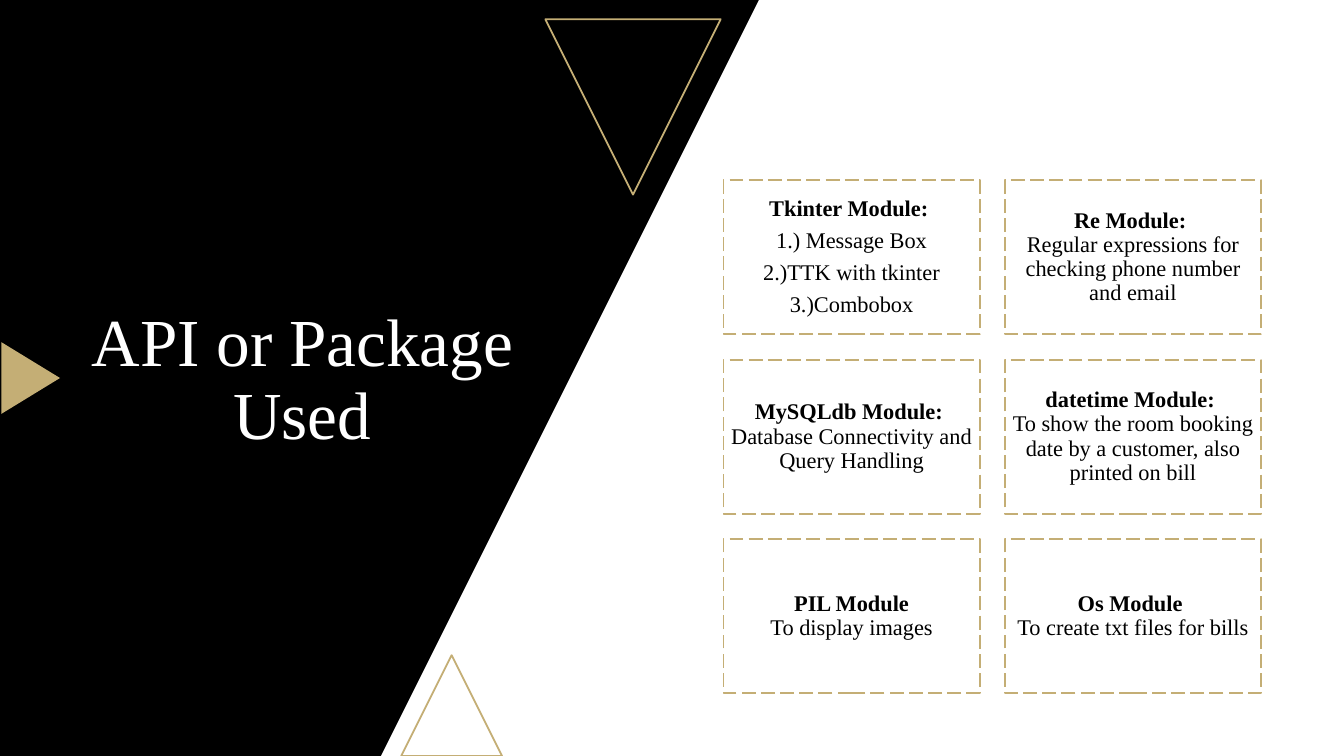
from dataclasses import dataclass

from pptx import Presentation
from pptx.dml.color import RGBColor
from pptx.enum.dml import MSO_LINE
from pptx.enum.shapes import MSO_SHAPE
from pptx.enum.text import MSO_ANCHOR, MSO_AUTO_SIZE, PP_ALIGN
from pptx.util import Pt

TITLE = "API or Package Used"

# Each card: heading, its lines, and whether every line is its own paragraph
CARDS = [
    ("Tkinter Module: ", ["1.) Message Box", "2.)TTK with tkinter", "3.)Combobox"], True),
    ("Re Module: ", ["Regular expressions for checking phone number and email"], False),
    ("MySQLdb Module: ", ["Database Connectivity and Query Handling"], False),
    ("datetime Module: ", ["To show the room booking date by a customer, also printed on bill"], False),
    ("PIL Module", ["To display images"], False),
    ("Os Module ", ["To create txt files for bills"], False),
]


@dataclass(frozen=True)
class Theme:
    black: RGBColor = RGBColor(0, 0, 0)
    white: RGBColor = RGBColor(255, 255, 255)
    gold: RGBColor = RGBColor(0xC4, 0xAE, 0x75)
    font: str = "Times New Roman"
    title_size: int = 48
    card_size: int = 16
    outline: float = 1.25


THEME = Theme()
PAGE_WIDTH, PAGE_HEIGHT = 960, 540
PANEL = [(0, 0), (542, 0), (271.5, PAGE_HEIGHT), (0, PAGE_HEIGHT)]
# left, top, width, height, rotation, filled
TRIANGLES = [
    (286.6, 468, 72, 72, 0, False),
    (389.5, 13.7, 125.3, 125.3, 180, False),
    (-3.6, 249.1, 51.1, 41.8, 90, True),
]
TITLE_BOX = (43.2, 154.1, 345.6, 236.2)
COLUMNS = 2
CARD_LEFT, CARD_TOP = 516.8, 128.8
CARD_WIDTH, CARD_HEIGHT = 183, 110
CARD_STEP_X, CARD_STEP_Y = 201, 128.2


def set_all(target, values):
    for name, value in values.items():
        setattr(target, name, value)


def paint(shape, fill=None, line=None):
    shape.shadow.inherit = False
    if fill is None:
        shape.fill.background()
    else:
        shape.fill.solid()
        shape.fill.fore_color.rgb = fill
    if line is None:
        shape.line.fill.background()
    else:
        shape.line.color.rgb = line
        shape.line.width = Pt(THEME.outline)


def add_shape(page, kind, bounds):
    return page.shapes.add_shape(kind, *map(Pt, bounds))


def add_span(para, text, size, color, bold=False):
    span = para.add_run()
    span.text = text
    set_all(span.font, {"name": THEME.font, "size": Pt(size), "bold": bold})
    span.font.color.rgb = color
    return span


def add_panel(page):
    builder = page.shapes.build_freeform(*PANEL[0], scale=Pt(1))
    builder.add_line_segments(PANEL[1:], close=True)
    paint(builder.convert_to_shape(), fill=THEME.black)


def add_triangles(page):
    for *bounds, rotation, filled in TRIANGLES:
        triangle = add_shape(page, MSO_SHAPE.ISOSCELES_TRIANGLE, bounds)
        triangle.rotation = rotation
        if filled:
            paint(triangle, fill=THEME.gold)
        else:
            paint(triangle, line=THEME.gold)


def add_card(page, index, heading, lines, separate):
    row, column = divmod(index, COLUMNS)
    left = CARD_LEFT + column * CARD_STEP_X
    top = CARD_TOP + row * CARD_STEP_Y
    box = add_shape(page, MSO_SHAPE.RECTANGLE, (left, top, CARD_WIDTH, CARD_HEIGHT))
    paint(box, line=THEME.gold)
    box.line.dash_style = MSO_LINE.LONG_DASH

    frame = box.text_frame
    set_all(frame, {"word_wrap": True, "vertical_anchor": MSO_ANCHOR.MIDDLE})
    for side in ("left", "top", "right", "bottom"):
        setattr(frame, f"margin_{side}", Pt(5))
    para = frame.paragraphs[0]
    add_span(para, heading, THEME.card_size, THEME.black, bold=True)
    for line in lines:
        if separate:
            para = frame.add_paragraph()
        else:
            para.add_line_break()
        add_span(para, line, THEME.card_size, THEME.black)
    for para in frame.paragraphs:
        set_all(para, {"alignment": PP_ALIGN.CENTER, "line_spacing": 0.9,
                       "space_before": Pt(0), "space_after": Pt(5.6)})


def add_title(page):
    title = page.shapes.title
    set_all(title, dict(zip(("left", "top", "width", "height"), map(Pt, TITLE_BOX))))
    frame = title.text_frame
    set_all(frame, {"word_wrap": True, "vertical_anchor": MSO_ANCHOR.MIDDLE,
                    "auto_size": MSO_AUTO_SIZE.NONE})
    para = frame.paragraphs[0]
    set_all(para, {"alignment": PP_ALIGN.CENTER, "line_spacing": 0.9, "space_before": Pt(0)})
    span = add_span(para, TITLE, THEME.title_size, THEME.white)
    span.font.element.set("spc", "-50") if hasattr(span.font, "element") else None
    page.shapes.element.append(title.element)  # in front of the panel


def main():
    deck = Presentation()
    deck.slide_width, deck.slide_height = Pt(PAGE_WIDTH), Pt(PAGE_HEIGHT)
    page = deck.slides.add_slide(deck.slide_layouts[5])
    add_panel(page)
    add_triangles(page)
    for index, card in enumerate(CARDS):
        add_card(page, index, *card)
    add_title(page)
    deck.save("out.pptx")


if __name__ == "__main__":
    main()
